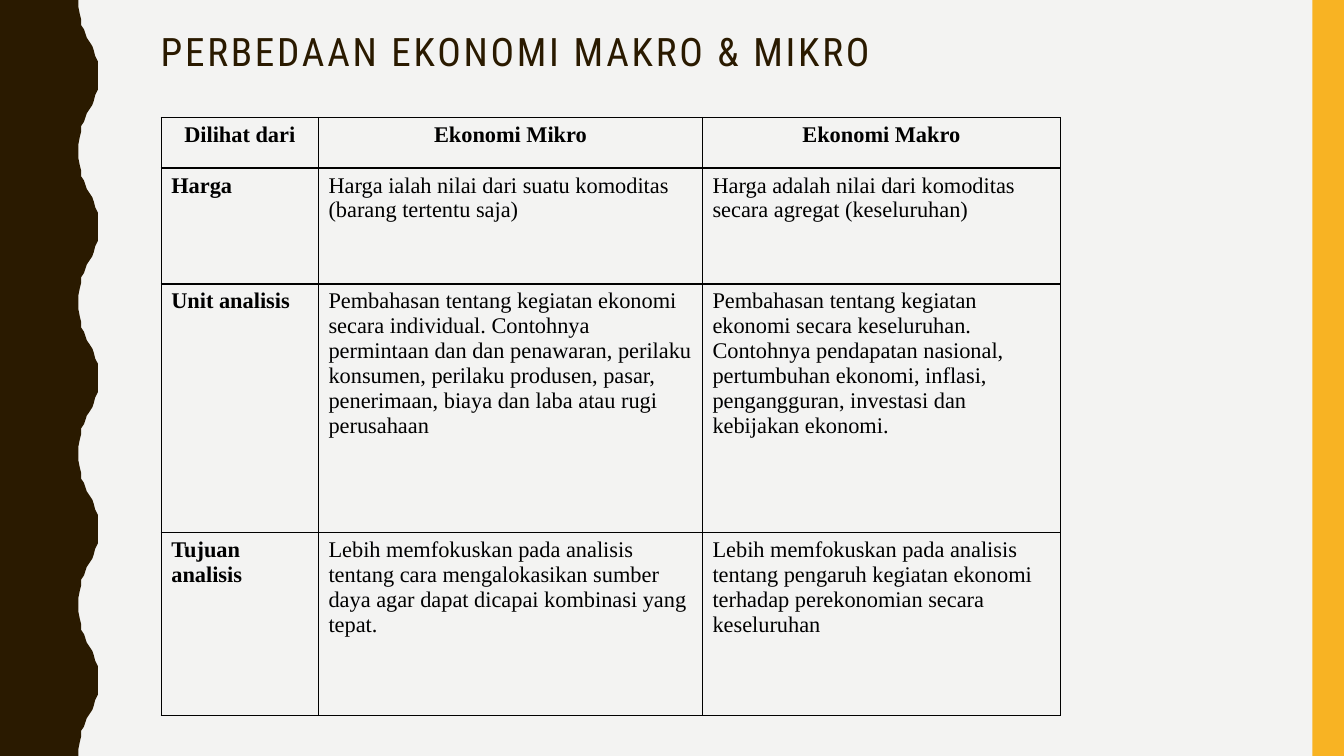
from lxml import etree
from pptx import Presentation
from pptx.dml.color import RGBColor
from pptx.enum.shapes import MSO_SHAPE
from pptx.enum.text import MSO_ANCHOR, MSO_AUTO_SIZE, PP_ALIGN
from pptx.oxml.ns import qn
from pptx.util import Pt

RECT = MSO_SHAPE.RECTANGLE
TOP = MSO_ANCHOR.TOP
FIXED = MSO_AUTO_SIZE.NONE
LEFT, CENTER = PP_ALIGN.LEFT, PP_ALIGN.CENTER

WIDTH, HEIGHT = 960, 540
COLORS = {"back": "F3F3F2", "brown": "2A1A00", "gold": "F8B323", "black": "000000"}
HEAD_FONT, BODY_FONT = "Roboto Condensed", "Times New Roman"

WAVES = 5
# Half of one wave, from trough to crest
HALF = [(56, 0), (56.5, 5), (57, 10), (58, 14.5), (58.5, 18), (60, 21),
        (61, 24), (62.5, 27), (64, 30), (65.5, 33), (67, 36),
        (68.5, 39.5), (69.5, 44), (70, 49), (70, 54)]

COLS = [112.3, 274.3, 255.6]
ROWS = [36, 82.8, 177.8, 130.3]
CELLS = [
    ["Dilihat dari", "Ekonomi Mikro", "Ekonomi Makro"],
    ["Harga",
     "Harga ialah nilai dari suatu komoditas (barang tertentu saja)",
     "Harga adalah nilai dari komoditas secara agregat (keseluruhan)"],
    ["Unit analisis",
     "Pembahasan tentang kegiatan ekonomi secara individual. Contohnya "
     "permintaan dan dan penawaran, perilaku konsumen, perilaku produsen, "
     "pasar, penerimaan, biaya dan laba atau rugi perusahaan",
     "Pembahasan tentang kegiatan ekonomi secara keseluruhan. Contohnya "
     "pendapatan nasional, pertumbuhan ekonomi, inflasi, pengangguran, "
     "investasi dan kebijakan ekonomi."],
    ["Tujuan analisis",
     "Lebih memfokuskan pada analisis tentang cara mengalokasikan sumber "
     "daya agar dapat dicapai kombinasi yang tepat.",
     "Lebih memfokuskan pada analisis tentang pengaruh kegiatan ekonomi "
     "terhadap perekonomian secara keseluruhan"],
]


def rgb(name):
    return RGBColor.from_string(COLORS[name])


def write(frame, text, size, font, color, bold=False, align=LEFT,
          space=1.0, track=0, hang=0):
    """Fill a text frame; track is letter spacing, hang a hanging indent."""
    para = frame.paragraphs[0]
    para.alignment = align
    para.line_spacing = space
    if hang:
        props = para._p.get_or_add_pPr()
        props.set("marL", str(Pt(hang)))
        props.set("indent", str(-Pt(hang)))
    run = para.add_run()
    run.text = text
    run.font.size = Pt(size)
    run.font.name = font
    run.font.bold = bold
    run.font.color.rgb = rgb(color)
    if track:
        run._r.get_or_add_rPr().set("spc", str(track * 100))


def paint(shape, color):
    shape.shadow.inherit = False
    shape.fill.solid()
    shape.fill.fore_color.rgb = rgb(color)
    shape.line.fill.background()


def add_wave(slide):
    step = HEIGHT / WAVES
    cycle = HALF + [(x, step - y) for x, y in HALF[-2::-1]]
    edge = [(x, y + n * step) for n in range(WAVES) for x, y in cycle]
    form = slide.shapes.build_freeform(0, 0, scale=Pt(1))
    form.add_line_segments(edge + [(0, HEIGHT)], close=True)
    paint(form.convert_to_shape(), "brown")


def add_strip(slide):
    wide = 22.5
    strip = slide.shapes.add_shape(RECT, Pt(WIDTH - wide), 0, Pt(wide), Pt(HEIGHT))
    paint(strip, "gold")


def set_title(slide, text):
    title = slide.shapes.title
    title.left, title.top = Pt(107.5), Pt(19.5)
    title.width, title.height = Pt(801), Pt(43)
    frame = title.text_frame
    frame.word_wrap = True
    frame.auto_size = FIXED
    frame.vertical_anchor = TOP
    write(frame, text, 28, HEAD_FONT, "brown", space=0.9, track=2)


def add_border(cell, color, width):
    props = cell._tc.get_or_add_tcPr()
    for place, side in enumerate(("lnL", "lnR", "lnT", "lnB")):
        line = etree.Element(qn(f"a:{side}"), w=str(Pt(width)))
        fill = etree.SubElement(line, qn("a:solidFill"))
        etree.SubElement(fill, qn("a:srgbClr"), val=COLORS[color])
        props.insert(place, line)


def add_grid(slide):
    frame = slide.shapes.add_table(len(ROWS), len(COLS), Pt(115.2), Pt(84),
                                   Pt(sum(COLS)), Pt(sum(ROWS)))
    table = frame.table
    table.first_row = table.horz_banding = False
    for col, width in zip(table.columns, COLS):
        col.width = Pt(width)
    for row, height in zip(table.rows, ROWS):
        row.height = Pt(height)
    last = len(ROWS) - 1
    for r, texts in enumerate(CELLS):
        for c, text in enumerate(texts):
            cell = table.cell(r, c)
            cell.fill.background()
            add_border(cell, "black", 1)
            label = r == 0 or c == 0
            write(cell.text_frame, text, 16, BODY_FONT, "black", bold=label,
                  align=CENTER if r == 0 else LEFT,
                  hang=27 if label and r < last else 0)


def main():
    deck = Presentation()
    deck.slide_width, deck.slide_height = Pt(WIDTH), Pt(HEIGHT)
    slide = deck.slides.add_slide(deck.slide_layouts[5])
    back = slide.background.fill
    back.solid()
    back.fore_color.rgb = rgb("back")
    add_wave(slide)
    add_strip(slide)
    set_title(slide, "PERBEDAAN EKONOMI MAKRO & MIKRO")
    add_grid(slide)
    deck.save("out.pptx")


if __name__ == "__main__":
    main()
